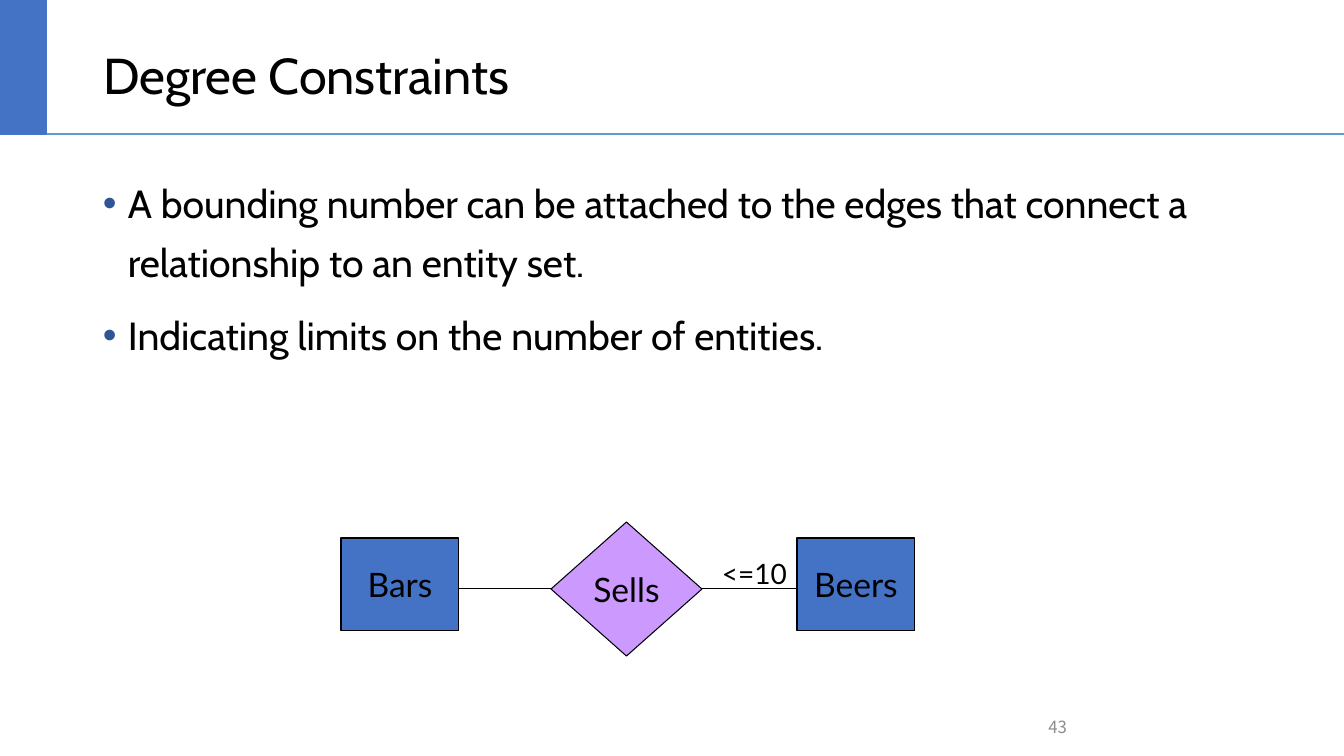
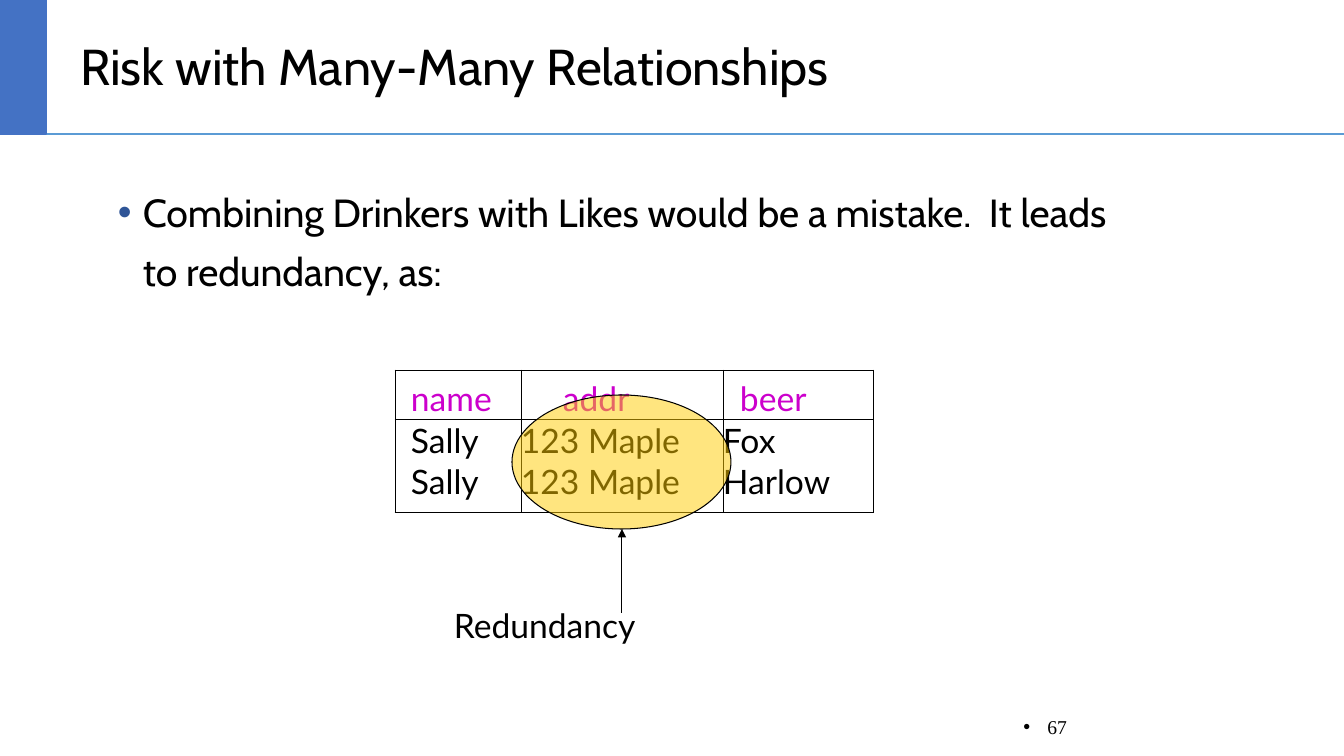
"""Build two lecture slides on entity-relationship design."""
from dataclasses import dataclass

from lxml import etree
from pptx import Presentation
from pptx import util as u
from pptx.dml.color import RGBColor
from pptx.enum import shapes, text
from pptx.oxml.ns import qn

PX = u.Inches(1) / 100.8
WIDTH, HEIGHT = 1344, 756


@dataclass(frozen=True)
class Theme:
    """Colours, fonts and type sizes shared by the slides."""
    ink: str = "000000"
    accent: str = "4472C4"
    rule: str = "5B9BD5"
    bullet: str = "2F5597"
    muted: str = "8C8C8C"
    relation: str = "CC99FF"
    heading: str = "CC00CC"
    highlight: str = "FFCC00"
    prose: str = "Cabin"
    label: str = "Lato"
    title_pt: int = 36
    body_pt: int = 28
    label_pt: int = 24
    limit_pt: int = 20
    thin: float = 0.75


THEME = Theme()

DEGREE = {
    "title": "Degree Constraints",
    "title_box": (93, 22, 1159, 112),
    "points": [
        "A bounding number can be attached to the edges that connect a "
        "relationship to an entity set.",
        "Indicating limits on the number of entities.",
    ],
    "points_box": (93, 163, 1159, 518),
    "number": ("43", "Noto Sans CJK SC", 12, THEME.muted, False),
}
RISK = {
    "title": "Risk with Many-Many Relationships",
    "title_box": (70, 6, 1008, 126),
    "points": ["Combining Drinkers with Likes would be a mistake.  It leads to redundancy, as:"],
    "points_box": (108, 172, 1008, 463),
    "number": ("67", "Times New Roman", 14, THEME.ink, True),
}
ENTITIES = [("Bars", 341), ("Beers", 797)]
ENTITY_TOP, ENTITY_SIZE = 538, (118, 93)
RELATION, RELATION_BOX = "Sells", (551, 522, 151, 134)
LIMIT, LIMIT_BOX = "<=10", (712, 552, 92, 44)

LIKES = [
    ("name", "addr", "beer"),
    ("Sally", "123 Maple", "Fox"),
    ("Sally", "123 Maple", "Harlow"),
]
LIKES_ORIGIN = (395, 370)
LIKES_COLUMNS, LIKES_ROWS = (126, 202, 151), (50, 41, 52)
HEAD_INSETS, ROW_INSETS = (16, 42, 17), (16, 0, 0)
REDUNDANT_BOX = (512, 395, 219, 134)
CAUSE, CAUSE_BOX = "Redundancy", (444, 600, 203, 50)
ARROW_X, ARROW_START = 622, 613


def px(*lengths):
    return [u.Emu(round(length * PX)) for length in lengths]


def rgb(value):
    return RGBColor.from_string(value)


def style(paragraph, font, size, color=THEME.ink):
    for run in paragraph.runs:
        run.font.name, run.font.size = font, u.Pt(size)
        run.font.color.rgb = rgb(color)


def add_bullet(paragraph, color, hang):
    props = paragraph._p.get_or_add_pPr()
    indent = px(hang)[0]
    props.set("marL", str(indent))
    props.set("indent", str(-indent))
    tint = etree.SubElement(props, qn("a:buClr"))
    etree.SubElement(tint, qn("a:srgbClr"), val=color)
    etree.SubElement(props, qn("a:buFont"), typeface="Arial")
    etree.SubElement(props, qn("a:buChar"), char="•")


def add_text(slide, box, words, font=THEME.label, size=THEME.label_pt, color=THEME.ink):
    frame = slide.shapes.add_textbox(*px(*box)).text_frame
    frame.word_wrap = True
    frame.text = words
    style(frame.paragraphs[0], font, size, color)
    return frame


def add_figure(slide, kind, box, fill, words="", line=THEME.ink, weight=THEME.thin):
    figure = slide.shapes.add_shape(kind, *px(*box))
    figure.shadow.inherit = False
    figure.fill.solid()
    figure.fill.fore_color.rgb = rgb(fill)
    figure.line.color.rgb = rgb(line)
    figure.line.width = u.Pt(weight)
    if words:
        frame = figure.text_frame
        frame.word_wrap = False
        frame.vertical_anchor = text.MSO_ANCHOR.MIDDLE
        frame.text = words
        frame.paragraphs[0].alignment = text.PP_ALIGN.CENTER
        style(frame.paragraphs[0], THEME.label, THEME.label_pt)
    return figure


def add_line(slide, ends, color=THEME.ink, weight=THEME.thin, arrow=False):
    line = slide.shapes.add_connector(shapes.MSO_CONNECTOR.STRAIGHT, *px(*ends))
    line.line.color.rgb = rgb(color)
    line.line.width = u.Pt(weight)
    if arrow:
        etree.SubElement(line.line._get_or_add_ln(), qn("a:tailEnd"), type="triangle")
    etree.SubElement(line._element.spPr, qn("a:effectLst"))


def add_number(slide, words, font, size, color, bulleted):
    frame = add_text(slide, (1007, 707, 70, 40), words, font, size, color)
    frame.vertical_anchor = text.MSO_ANCHOR.MIDDLE
    number = frame.paragraphs[0]
    number.alignment = text.PP_ALIGN.RIGHT
    if bulleted:
        add_bullet(number, color, 24)


def add_slide(deck, content):
    slide = deck.slides.add_slide(deck.slide_layouts.get_by_name("Title Only"))
    add_line(slide, (0, 134, WIDTH, 134), THEME.rule, 1)
    add_figure(slide, shapes.MSO_SHAPE.RECTANGLE, (0, 0, 46, 134), THEME.accent,
               line=THEME.accent, weight=1)

    title = slide.shapes.title
    title.left, title.top, title.width, title.height = px(*content["title_box"])
    frame = title.text_frame
    frame.text = content["title"]
    frame.auto_size = text.MSO_AUTO_SIZE.NONE
    frame.vertical_anchor = text.MSO_ANCHOR.MIDDLE
    heading = frame.paragraphs[0]
    heading.alignment = text.PP_ALIGN.LEFT
    heading.line_spacing = 0.9
    style(heading, THEME.prose, THEME.title_pt)

    frame = add_text(slide, content["points_box"], "\n".join(content["points"]))
    for index, point in enumerate(frame.paragraphs):
        add_bullet(point, THEME.bullet, 25)
        point.line_spacing = 1.25
        if index:
            point.space_before = u.Pt(10)
        style(point, THEME.prose, THEME.body_pt)

    add_number(slide, *content["number"])
    return slide


def add_borders(cell, drawn):
    props = cell._tc.get_or_add_tcPr()
    for side in "LRTB":
        border = etree.SubElement(props, qn(f"a:ln{side}"), w=str(u.Pt(THEME.thin)))
        if side in drawn:
            fill = etree.SubElement(border, qn("a:solidFill"))
            etree.SubElement(fill, qn("a:srgbClr"), val=THEME.ink)
        else:
            etree.SubElement(border, qn("a:noFill"))


def add_likes_table(slide):
    box = (*LIKES_ORIGIN, sum(LIKES_COLUMNS), sum(LIKES_ROWS))
    table = slide.shapes.add_table(len(LIKES), len(LIKES_COLUMNS), *px(*box)).table
    table.first_row = table.horz_banding = False
    for column, width in zip(table.columns, px(*LIKES_COLUMNS)):
        column.width = width
    for row, height in zip(table.rows, px(*LIKES_ROWS)):
        row.height = height
    borders = ("LRTB", "LRT", "LRB")
    for r, values in enumerate(LIKES):
        insets = ROW_INSETS if r else HEAD_INSETS
        for c, value in enumerate(values):
            cell = table.cell(r, c)
            add_borders(cell, borders[r])
            cell.fill.background()
            cell.margin_left, cell.margin_top = px(insets[c], 0 if r else 8)
            cell.margin_right = cell.margin_bottom = 0
            cell.text = value
            style(cell.text_frame.paragraphs[0], THEME.label, THEME.label_pt,
                  THEME.ink if r else THEME.heading)


def build_degree(deck):
    slide = add_slide(deck, DEGREE)
    for name, left in ENTITIES:
        add_figure(slide, shapes.MSO_SHAPE.RECTANGLE, (left, ENTITY_TOP, *ENTITY_SIZE),
                   THEME.accent, name)
    add_figure(slide, shapes.MSO_SHAPE.DIAMOND, RELATION_BOX, THEME.relation, RELATION)
    left, top, width, height = RELATION_BOX
    middle = top + height // 2
    (_, bars), (_, beers) = ENTITIES
    add_line(slide, (left, middle, bars + ENTITY_SIZE[0], middle))
    add_line(slide, (left + width, middle, beers, middle))
    add_text(slide, LIMIT_BOX, LIMIT, size=THEME.limit_pt)


def build_risk(deck):
    slide = add_slide(deck, RISK)
    add_likes_table(slide)
    redundant = add_figure(slide, shapes.MSO_SHAPE.OVAL, REDUNDANT_BOX, THEME.highlight)
    tint = redundant._element.spPr.find(qn("a:solidFill"))[0]
    etree.SubElement(tint, qn("a:alpha"), val="50000")
    add_text(slide, CAUSE_BOX, CAUSE)
    bottom = REDUNDANT_BOX[1] + REDUNDANT_BOX[3]
    add_line(slide, (ARROW_X, ARROW_START, ARROW_X, bottom), arrow=True)


def main():
    deck = Presentation()
    deck.slide_width, deck.slide_height = px(WIDTH, HEIGHT)
    build_degree(deck)
    build_risk(deck)
    deck.save("out.pptx")


if __name__ == "__main__":
    main()
